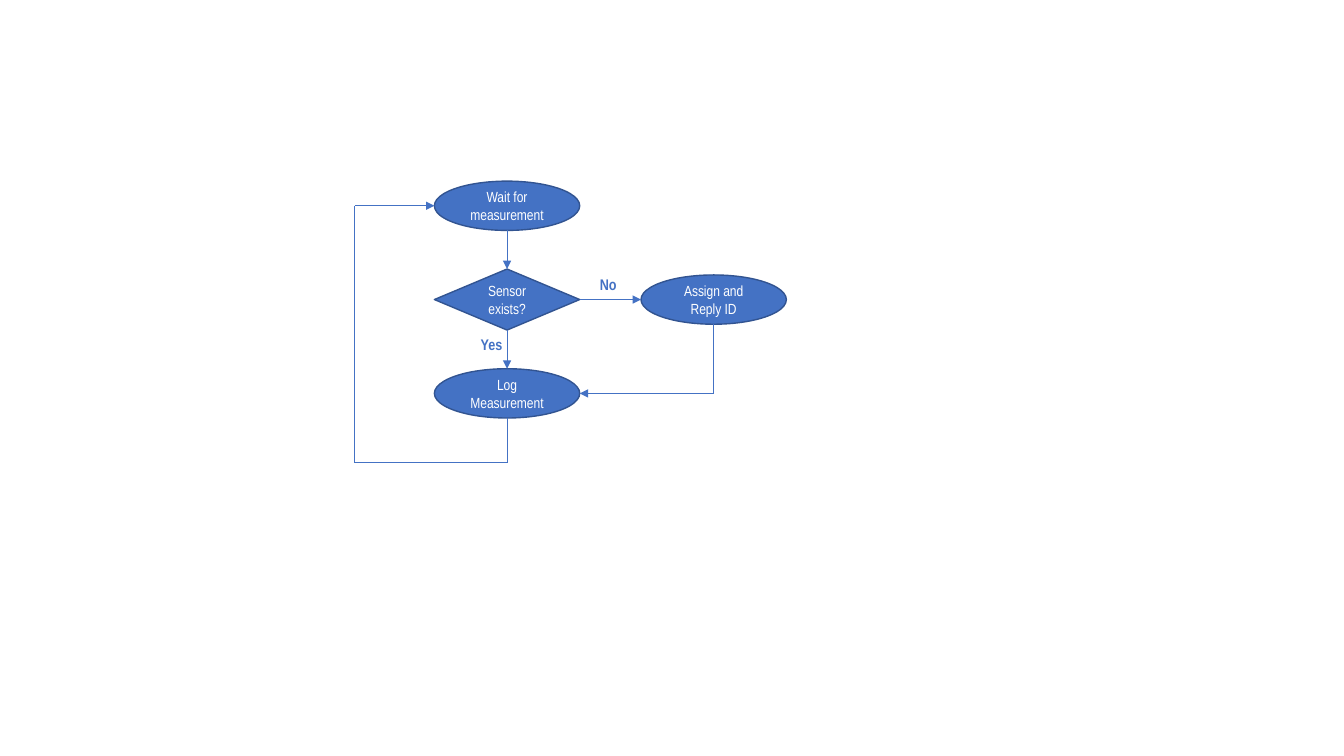
import dataclasses

import lxml.etree
import pptx
import pptx.dml.color
import pptx.enum.shapes
import pptx.enum.text
import pptx.oxml.ns
import pptx.util

Pt = pptx.util.Pt
qn = pptx.oxml.ns.qn
Shape = pptx.enum.shapes.MSO_SHAPE
Align = pptx.enum.text.PP_ALIGN
Anchor = pptx.enum.text.MSO_ANCHOR


@dataclasses.dataclass(frozen=True)
class Theme:
    font: str = "Arial Narrow"
    blue: str = "4472C4"
    outline: str = "325491"
    white: str = "FFFFFF"
    node_size: float = 10.5
    label_size: float = 11
    node_line: float = 1
    arrow_line: float = 0.5


def rgb(value):
    return pptx.dml.color.RGBColor.from_string(value)


def write(tf, text, *, font, size, color, bold=False, align=Align.LEFT):
    p = tf.paragraphs[0]
    p.alignment = align
    r = p.add_run()
    r.text = text
    r.font.name = font
    r.font.size = Pt(size)
    r.font.bold = bold
    r.font.color.rgb = rgb(color)


class Flowchart:
    def __init__(self, s, theme):
        self.s = s
        self.theme = theme

    def node(self, kind, text, cx, cy, width, height):
        t = self.theme
        sp = self.s.shapes.add_shape(
            kind, Pt(cx - width / 2), Pt(cy - height / 2), Pt(width), Pt(height)
        )
        sp.shadow.inherit = False
        sp.fill.solid()
        sp.fill.fore_color.rgb = rgb(t.blue)
        sp.line.color.rgb = rgb(t.outline)
        sp.line.width = Pt(t.node_line)
        tf = sp.text_frame
        tf.word_wrap = True
        tf.vertical_anchor = Anchor.MIDDLE
        write(tf, text, font=t.font, size=t.node_size, color=t.white,
              align=Align.CENTER)

    def label(self, text, left, top, width, height):
        t = self.theme
        sp = self.s.shapes.add_textbox(Pt(left), Pt(top), Pt(width), Pt(height))
        tf = sp.text_frame
        tf.word_wrap = False
        tf.auto_size = pptx.enum.text.MSO_AUTO_SIZE.SHAPE_TO_FIT_TEXT
        write(tf, text, font=t.font, size=t.label_size, color=t.blue, bold=True)

    def line(self, start, end, arrow=False):
        sp = self.s.shapes.add_connector(
            pptx.enum.shapes.MSO_CONNECTOR.STRAIGHT, *map(Pt, start + end)
        )
        sp.line.color.rgb = rgb(self.theme.blue)
        sp.line.width = Pt(self.theme.arrow_line)
        if arrow:
            ln = sp.line._get_or_add_ln()
            lxml.etree.SubElement(ln, qn("a:tailEnd"), type="triangle")
        lxml.etree.SubElement(sp._element.spPr, qn("a:effectLst"))

    def route(self, *points):
        last = len(points) - 2
        for i, (start, end) in enumerate(zip(points, points[1:])):
            self.line(start, end, arrow=i == last)


def main():
    prs = pptx.Presentation()
    prs.slide_width = Pt(960)
    prs.slide_height = Pt(540)
    s = prs.slides.add_slide(prs.slide_layouts[6])
    chart = Flowchart(s, Theme())

    main_x, assign_x, loop_x, loop_y = 362.2, 509.8, 253.4, 330.5
    wait_y, sensor_y, log_y = (147 + 67 * row for row in range(3))
    width, oval_h, diamond_h = 103.8, 35.2, 43.6
    half, oval_half, diamond_half = width / 2, oval_h / 2, diamond_h / 2

    for text, cx, cy in (
        ("Wait for measurement", main_x, wait_y),
        ("Log Measurement", main_x, log_y),
        ("Assign and Reply ID", assign_x, sensor_y),
    ):
        chart.node(Shape.OVAL, text, cx, cy, width, oval_h)
    chart.node(Shape.DIAMOND, "Sensor exists?", main_x, sensor_y, width, diamond_h)

    chart.label("Yes", 336.2, 235.6, 31, 20.6)
    chart.label("No", 421.4, 192.8, 26.6, 20.6)

    chart.route((main_x, wait_y + oval_half), (main_x, sensor_y - diamond_half))
    chart.route((main_x, sensor_y + diamond_half), (main_x, log_y - oval_half))
    chart.route((main_x + half, sensor_y), (assign_x - half, sensor_y))
    chart.route((assign_x, sensor_y + oval_half), (assign_x, log_y),
                (main_x + half, log_y))
    chart.route((main_x, log_y + oval_half), (main_x, loop_y), (loop_x, loop_y),
                (loop_x, wait_y), (main_x - half, wait_y))

    prs.save("out.pptx")


if __name__ == "__main__":
    main()
